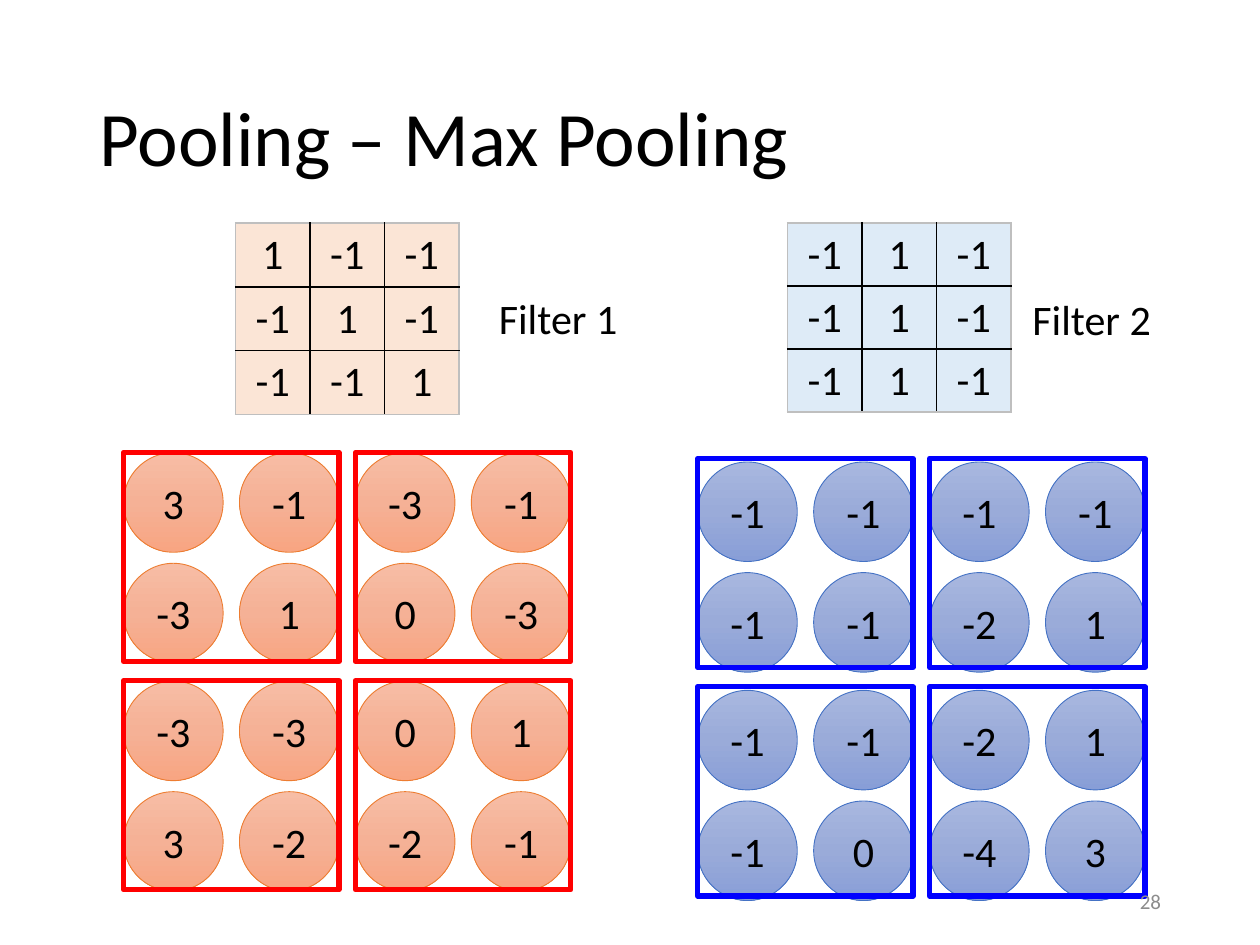
from copy import deepcopy
from dataclasses import dataclass

from pptx import Presentation
from pptx.dml.color import RGBColor as RGB
from pptx.enum.shapes import MSO_SHAPE as Shape
from pptx.enum.text import MSO_ANCHOR as Anchor, PP_ALIGN as Align
from pptx.oxml import parse_xml
from pptx.oxml.ns import nsdecls, qn
from pptx.util import Pt


@dataclass(frozen=True)
class Palette:
    cell: str
    stops: tuple
    outline: str
    frame: str


@dataclass(frozen=True)
class Theme:
    font: str = "Calibri"
    title: int = 44
    body: int = 24
    small: int = 12
    ink: str = "000000"
    muted: str = "8C8C8C"
    edge: str = "BFBFBF"
    orange: Palette = Palette("FBE5D6", ("F7BDA5", "F5B196", "F8A582"), "ED7D31", "FF0000")
    blue: Palette = Palette("DEEBF7", ("A8B7DF", "9AABD9", "889ED7"), "4472C4", "0000FF")


class Deck:
    def __init__(self, prs, theme):
        self.theme = theme
        self.s = prs.slides.add_slide(prs.slide_layouts[5])

    def add_text(self, tf, text, size, align=Align.CENTER, color=None):
        p = tf.paragraphs[0]
        p.alignment = align
        r = p.add_run()
        r.text = text
        r.font.name = self.theme.font
        r.font.size = Pt(size)
        r.font.color.rgb = RGB.from_string(color or self.theme.ink)
        return p

    def title(self, text, x, y, w, h):
        sp = self.s.shapes.title
        sp.left, sp.top, sp.width, sp.height = Pt(x), Pt(y), Pt(w), Pt(h)
        sp.text_frame.vertical_anchor = Anchor.MIDDLE
        p = self.add_text(sp.text_frame, text, self.theme.title, Align.LEFT)
        p.line_spacing = 0.9

    def label(self, text, x, y, w, h, size, align=Align.CENTER, color=None, anchor=Anchor.TOP):
        tf = self.s.shapes.add_textbox(Pt(x), Pt(y), Pt(w), Pt(h)).text_frame
        tf.word_wrap = True
        tf.vertical_anchor = anchor
        self.add_text(tf, text, size, align, color)

    def shape(self, kind, x, y, w, h, line, weight):
        sp = self.s.shapes.add_shape(kind, Pt(x), Pt(y), Pt(w), Pt(h))
        sp.shadow.inherit = False
        sp.line.color.rgb = RGB.from_string(line)
        sp.line.width = Pt(weight)
        return sp

    def neuron(self, text, x, y, d, palette):
        sp = self.shape(Shape.OVAL, x, y, d, d, palette.outline, 0.5)
        sp.fill.gradient()
        sp.fill.gradient_angle = 270
        stops = sp._element.spPr.find(qn("a:gradFill")).find(qn("a:gsLst"))
        stops.insert(1, deepcopy(stops[0]))
        for stop, color, pos in zip(sp.fill.gradient_stops, palette.stops, (0, 0.5, 1)):
            stop.color.rgb = RGB.from_string(color)
            stop.position = pos
        tf = sp.text_frame
        tf.margin_left = tf.margin_right = 0
        tf.vertical_anchor = Anchor.MIDDLE
        self.add_text(tf, text, self.theme.body)

    def frame(self, x, y, w, h, color):
        self.shape(Shape.RECTANGLE, x, y, w, h, color, 3).fill.background()

    def border(self, cell, side, color):
        cell._tc.get_or_add_tcPr().append(parse_xml(
            f'<a:{side} {nsdecls("a")} w="12700"><a:solidFill>'
            f'<a:srgbClr val="{color}"/></a:solidFill></a:{side}>'))

    def matrix(self, rows, x, y, size, row_height, fill):
        n = len(rows)
        tbl = self.s.shapes.add_table(
            n, n, Pt(x), Pt(y), Pt(size), Pt(n * row_height)).table
        tbl.first_row = tbl.horz_banding = False
        for i, row in enumerate(rows):
            for j, text in enumerate(row):
                cell = tbl.cell(i, j)
                outer = {"lnL": j == 0, "lnR": j == n - 1, "lnT": i == 0, "lnB": i == n - 1}
                for side, is_edge in outer.items():
                    self.border(cell, side, self.theme.edge if is_edge else self.theme.ink)
                cell.fill.solid()
                cell.fill.fore_color.rgb = RGB.from_string(fill)
                self.add_text(cell.text_frame, text, self.theme.body)

    def feature_map(self, rows, x, y, frame_y, palette):
        step, pool_step, row_step = 66.24, 130.5, 63.2
        for i, row in enumerate(rows):
            top = y + i // 2 * pool_step + i % 2 * row_step
            for j, text in enumerate(row):
                self.neuron(text, x + j * step, top, 56.9, palette)
        for i in range(2):
            for j in range(2):
                self.frame(x + j * 2 * step, frame_y + i * pool_step, 123.1, 119.5, palette.frame)


def grid(text):
    return [line.split() for line in text.split("/")]


def main():
    prs = Presentation()
    prs.slide_width, prs.slide_height = Pt(720), Pt(540)
    theme = Theme()
    deck = Deck(prs, theme)
    deck.title("Pooling – Max Pooling", 49.5, 28.75, 621, 104.4)

    deck.feature_map(grid("3 -1 -3 -1/-3 1 0 -3/-3 -3 0 1/3 -2 -2 -1"),
                     70.6, 258.7, 258.5, theme.orange)
    deck.matrix(grid("1 -1 -1/-1 1 -1/-1 -1 1"), 134.6, 127.4, 127.8, 36, theme.orange.cell)
    deck.label("Filter 1", 262, 163.5, 113.8, 36, theme.body)

    deck.feature_map(grid("-1 -1 -1 -1/-1 -1 -2 1/-1 -1 -2 1/-1 0 -4 3"),
                     398.7, 264, 262, theme.blue)
    deck.matrix(grid("-1 1 -1/-1 1 -1/-1 1 -1"), 450, 127.4, 127.8, 36, theme.blue.cell)
    deck.label("Filter 2", 566.9, 164.3, 113.8, 36, theme.body)

    deck.label("28", 508.5, 500.5, 162, 28.75, theme.small,
               Align.RIGHT, theme.muted, Anchor.MIDDLE)
    prs.save("out.pptx")


if __name__ == "__main__":
    main()
